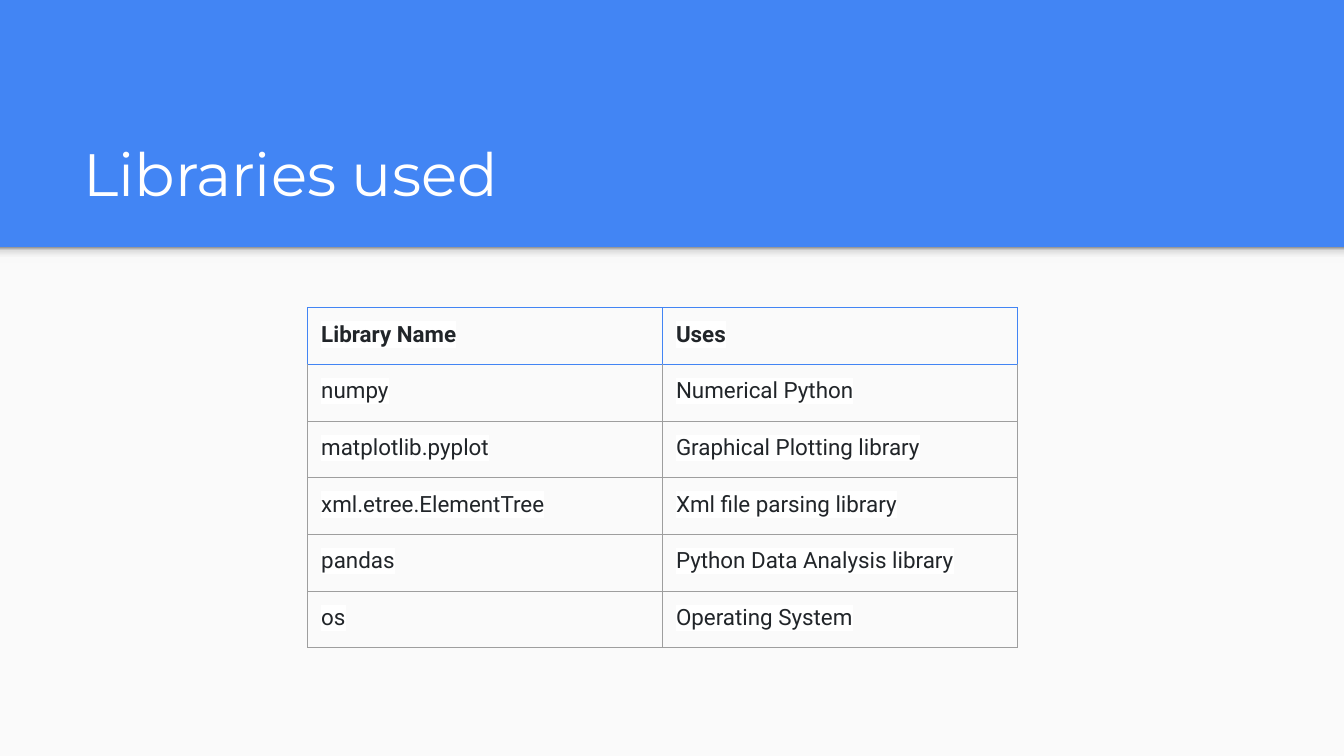
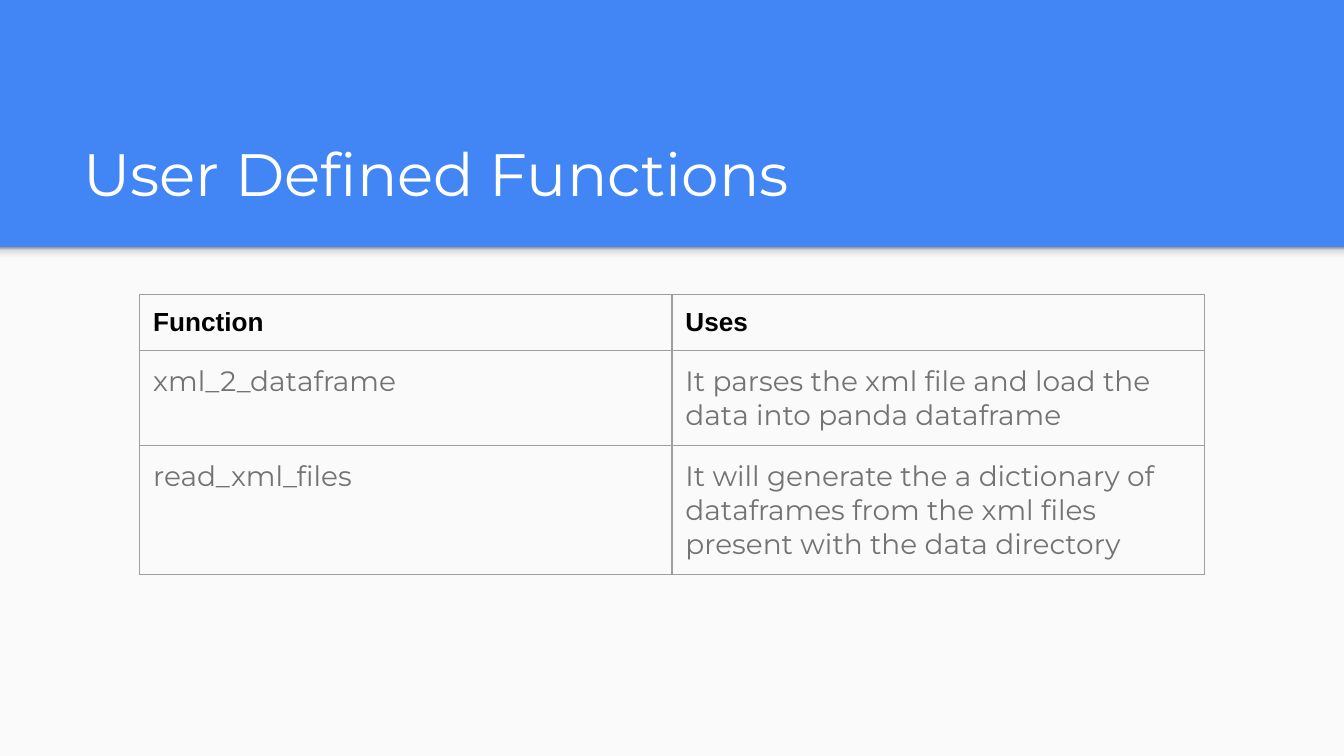
from copy import deepcopy
from dataclasses import dataclass

from lxml import etree
from pptx import Presentation
from pptx.dml.color import RGBColor
from pptx.enum import shapes, text
from pptx.oxml import ns
from pptx.util import Inches, Pt

COLORS = {
    "blue": "4285F4", "paper": "FAFAFA", "white": "FFFFFF", "grid": "9E9E9E",
    "ink": "212529", "black": "000000", "grey": "737373",
}
# Shadow under the title band, from bottom to top
SHADOW_STOPS = [(0, "F9F9F9"), (36, "F9F9F9"), (80, "DEDEDE"), (100, "999999")]
BAND_BOTTOM = 1.84
SLIDE_WIDTH = 10
SLIDE_HEIGHT = SLIDE_WIDTH * 9 / 16


@dataclass(frozen=True)
class TextStyle:
    font: str
    size: float
    color: str
    bold: bool = False
    highlight: str | None = None


@dataclass(frozen=True)
class GridTable:
    left: float
    top: float
    column_width: float
    row_heights: list[float]
    header_style: TextStyle
    body_style: TextStyle
    header_border: str
    rows: list[tuple[str, str]]


TITLE_STYLE = TextStyle("Montserrat", 32, "white")

PAGES = {
    "Libraries used": GridTable(
        2.29, 2.29, 2.64, [2.53 / 6] * 6,
        TextStyle("Roboto", 12, "ink", True, "white"),
        TextStyle("Roboto", 12, "ink", False, "white"),
        "blue",
        [
            ("Library Name", "Uses"),
            ("numpy", "Numerical Python"),
            ("matplotlib.pyplot", "Graphical Plotting library"),
            ("xml.etree.ElementTree", "Xml file parsing library"),
            ("pandas", "Python Data Analysis library"),
            ("os", "Operating System"),
        ],
    ),
    "User Defined Functions": GridTable(
        1.04, 2.19, 3.96, [0.42, 0.7, 0.96],
        TextStyle("Arial", 14, "black", True),
        TextStyle("Montserrat", 15, "grey"),
        "grid",
        [
            ("Function", "Uses"),
            ("xml_2_dataframe",
             "It parses the xml file and load the data into panda dataframe"),
            ("read_xml_files",
             "It will generate the a dictionary of dataframes from the xml files "
             "present with the data directory"),
        ],
    ),
}


def rgb(name: str) -> RGBColor:
    return RGBColor.from_string(COLORS[name])


def write(frame, words: str, style: TextStyle) -> None:
    """Put one styled paragraph into a text frame."""
    frame.word_wrap = True
    paragraph = frame.paragraphs[0]
    paragraph.alignment = text.PP_ALIGN.LEFT
    run = paragraph.add_run()
    run.text = words
    font = paragraph.font
    font.name, font.size, font.bold = style.font, Pt(style.size), style.bold
    font.color.rgb = rgb(style.color)
    if style.highlight:
        mark = etree.SubElement(run.font._element, ns.qn("a:highlight"))
        etree.SubElement(mark, ns.qn("a:srgbClr"), val=COLORS[style.highlight])


def set_margins(holder) -> None:
    """Give a text frame or a table cell even margins."""
    holder.margin_left = holder.margin_right = Inches(0.1)
    holder.margin_top = holder.margin_bottom = Inches(0.1)


def add_panel(slide, top: float, height: float):
    """Add a full-width rectangle without outline or shadow."""
    panel = slide.shapes.add_shape(
        shapes.MSO_SHAPE.RECTANGLE, 0, Inches(top), Inches(SLIDE_WIDTH), Inches(height))
    panel.shadow.inherit = False
    panel.line.fill.background()
    return panel


def add_backdrop(slide) -> None:
    paper = add_panel(slide, BAND_BOTTOM, SLIDE_HEIGHT - BAND_BOTTOM)
    paper.fill.solid()
    paper.fill.fore_color.rgb = rgb("paper")

    shadow = add_panel(slide, BAND_BOTTOM, 0.12)
    shadow.fill.gradient()
    shadow.fill.gradient_angle = 90
    stop_list = shadow._element.spPr.find(".//" + ns.qn("a:gsLst"))
    for stop in list(stop_list)[:2]:
        stop_list.append(deepcopy(stop))
    for stop, (position, color) in zip(shadow.fill.gradient_stops, SHADOW_STOPS):
        stop.position = position / 100
        stop.color.rgb = RGBColor.from_string(color)


def add_title(slide, words: str) -> None:
    title = slide.shapes.title
    title.left, title.top = Inches(0.52), Inches(0.81)
    title.width, title.height = Inches(8.99), Inches(0.84)
    title.text_frame.auto_size = text.MSO_AUTO_SIZE.NONE
    title.text_frame.vertical_anchor = text.MSO_ANCHOR.BOTTOM
    set_margins(title.text_frame)
    write(title.text_frame, words, TITLE_STYLE)


def set_borders(cell, border: str, top_border: str) -> None:
    properties = cell._tc.get_or_add_tcPr()
    for index, side in enumerate("LRTB"):
        line = etree.Element(ns.qn(f"a:ln{side}"), w=str(Pt(0.75)))
        fill = etree.SubElement(line, ns.qn("a:solidFill"))
        color = COLORS[top_border if side == "T" else border]
        etree.SubElement(fill, ns.qn("a:srgbClr"), val=color)
        properties.insert(index, line)


def add_grid(slide, grid: GridTable) -> None:
    columns = len(grid.rows[0])
    table = slide.shapes.add_table(
        len(grid.rows), columns, Inches(grid.left), Inches(grid.top),
        Inches(grid.column_width * columns), Inches(sum(grid.row_heights))).table
    table.first_row = table.horz_banding = False
    for column in table.columns:
        column.width = Inches(grid.column_width)
    for r, (height, entries) in enumerate(zip(grid.row_heights, grid.rows)):
        table.rows[r].height = Inches(height)
        style = grid.body_style if r else grid.header_style
        border = "grid" if r else grid.header_border
        top_border = grid.header_border if r <= 1 else "grid"
        for c, words in enumerate(entries):
            cell = table.cell(r, c)
            cell.fill.background()
            set_margins(cell)
            write(cell.text_frame, words, style)
            set_borders(cell, border, top_border)


def main() -> None:
    prs = Presentation()
    prs.slide_width, prs.slide_height = Inches(SLIDE_WIDTH), Inches(SLIDE_HEIGHT)
    # The blue title band is the shared background
    background = prs.slide_master.background.fill
    background.solid()
    background.fore_color.rgb = rgb("blue")

    title_only = prs.slide_layouts[5]
    for heading, grid in PAGES.items():
        slide = prs.slides.add_slide(title_only)
        add_backdrop(slide)
        add_title(slide, heading)
        add_grid(slide, grid)
    prs.save("out.pptx")


if __name__ == "__main__":
    main()
